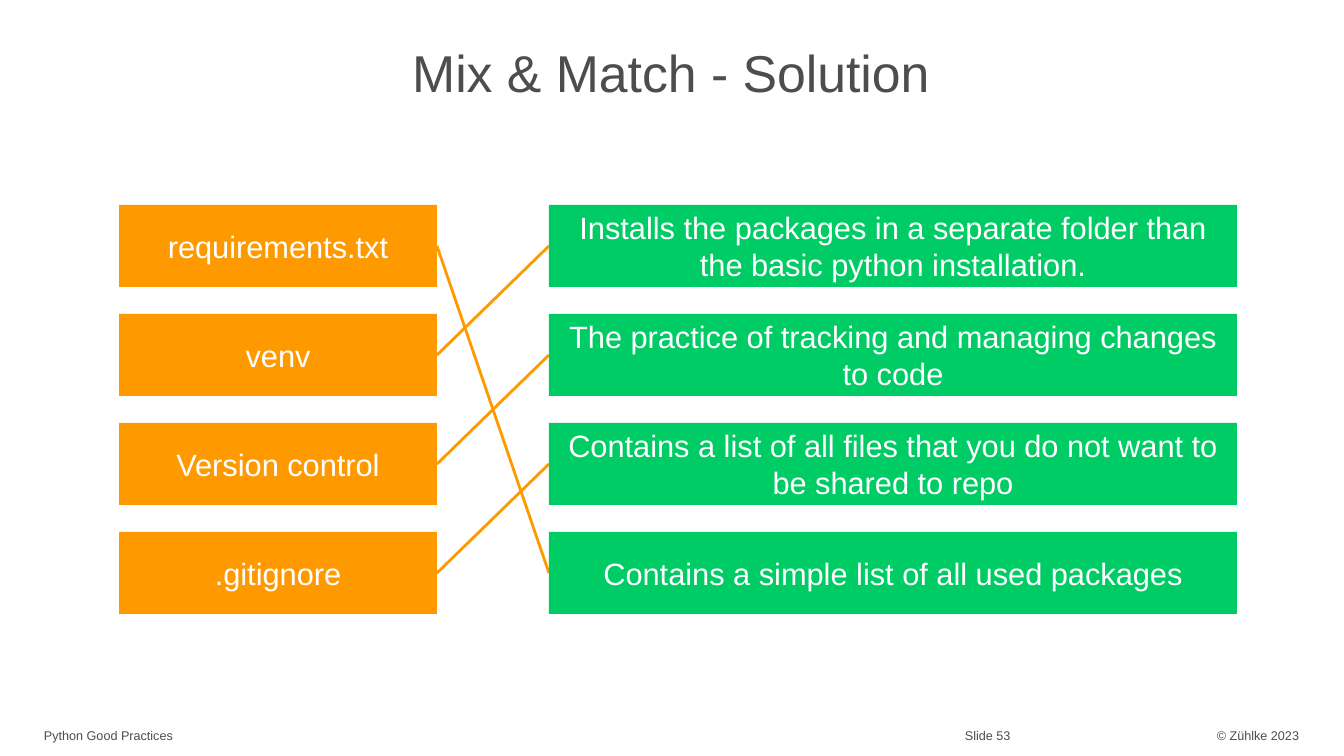
from pptx import Presentation, util as u
from pptx.dml.color import RGBColor
from pptx.enum import shapes, text
from pptx.oxml.ns import qn
from lxml import etree

# Content
TITLE = "Mix & Match - Solution"
TERMS = ["requirements.txt", "venv", "Version control", ".gitignore"]
MEANINGS = [
    "Installs the packages in a separate folder than the basic python installation.",
    "The practice of tracking and managing changes to code",
    "Contains a list of all files that you do not want to be shared to repo",
    "Contains a simple list of all used packages",
]
MATCHES = [(0, 3), (2, 1), (3, 2), (1, 0)]  # term row, meaning row
LEFT, CENTER, RIGHT = text.PP_ALIGN.LEFT, text.PP_ALIGN.CENTER, text.PP_ALIGN.RIGHT
FOOTER = [  # words, left, width, alignment
    ("© Zühlke 2023", 1143, 156, RIGHT),
    ("Python Good Practices", 44, 484, LEFT),
    ("Slide 53", 965, 168, LEFT),
]
COLORS = {"text": "4D4D4D", "term": "FF9900", "meaning": "00CC66", "white": "FFFFFF"}

# Layout in px
PX = 914400 / 100.8
WIDTH, HEIGHT = 1344, 756
TOP, PITCH, BOX = 205, 109, 82
TERM_X, TERM_W = 119, 318
MEAN_X, MEAN_W = 549, 688


def px(*vals):
    return [u.Emu(round(v * PX)) for v in vals]


def color(name):
    return RGBColor.from_string(COLORS[name])


def write(frame, words, size, tint, align):
    frame.word_wrap = True
    frame.text = words
    para = frame.paragraphs[0]
    para.alignment = align
    font = para.runs[0].font
    font.name, font.size = "Arial", u.Pt(size)
    font.color.rgb = color(tint)
    return para


def label(slide, words, place, size, align):
    frame = slide.shapes.add_textbox(*px(*place)).text_frame
    frame.margin_left = frame.margin_right = 0
    frame.margin_top = frame.margin_bottom = 0
    return write(frame, words, size, "text", align)


def row_top(row):
    return TOP + row * PITCH


def link(slide, term, meaning):
    ends = px(TERM_X + TERM_W, row_top(term) + BOX / 2,
              MEAN_X, row_top(meaning) + BOX / 2)
    line = slide.shapes.add_connector(shapes.MSO_CONNECTOR.STRAIGHT, *ends)
    line.line.color.rgb = color("term")
    line.line.width = u.Pt(2)
    etree.SubElement(line._element.spPr, qn("a:effectLst"))


def column(slide, items, left, width, tint):
    for row, words in enumerate(items):
        box = slide.shapes.add_shape(shapes.MSO_SHAPE.RECTANGLE,
                                     *px(left, row_top(row), width, BOX))
        box.shadow.inherit = False
        box.fill.solid()
        box.fill.fore_color.rgb = color(tint)
        box.line.fill.background()
        box.text_frame.vertical_anchor = text.MSO_ANCHOR.MIDDLE
        write(box.text_frame, words, 22, "white", CENTER)


def main():
    deck = Presentation()
    deck.slide_width, deck.slide_height = px(WIDTH, HEIGHT)
    slide = deck.slides.add_slide(deck.slide_layouts[6])

    # Footer and title
    for words, left, width, align in FOOTER:
        label(slide, words, (left, 728, width, 16), 9, align)
    label(slide, TITLE, (44, 44, 1254, 74), 37, CENTER).line_spacing = 0.98

    # Matching lines, then the boxes they join
    for term, meaning in MATCHES:
        link(slide, term, meaning)
    column(slide, TERMS, TERM_X, TERM_W, "term")
    column(slide, MEANINGS, MEAN_X, MEAN_W, "meaning")

    deck.save("out.pptx")


if __name__ == "__main__":
    main()
